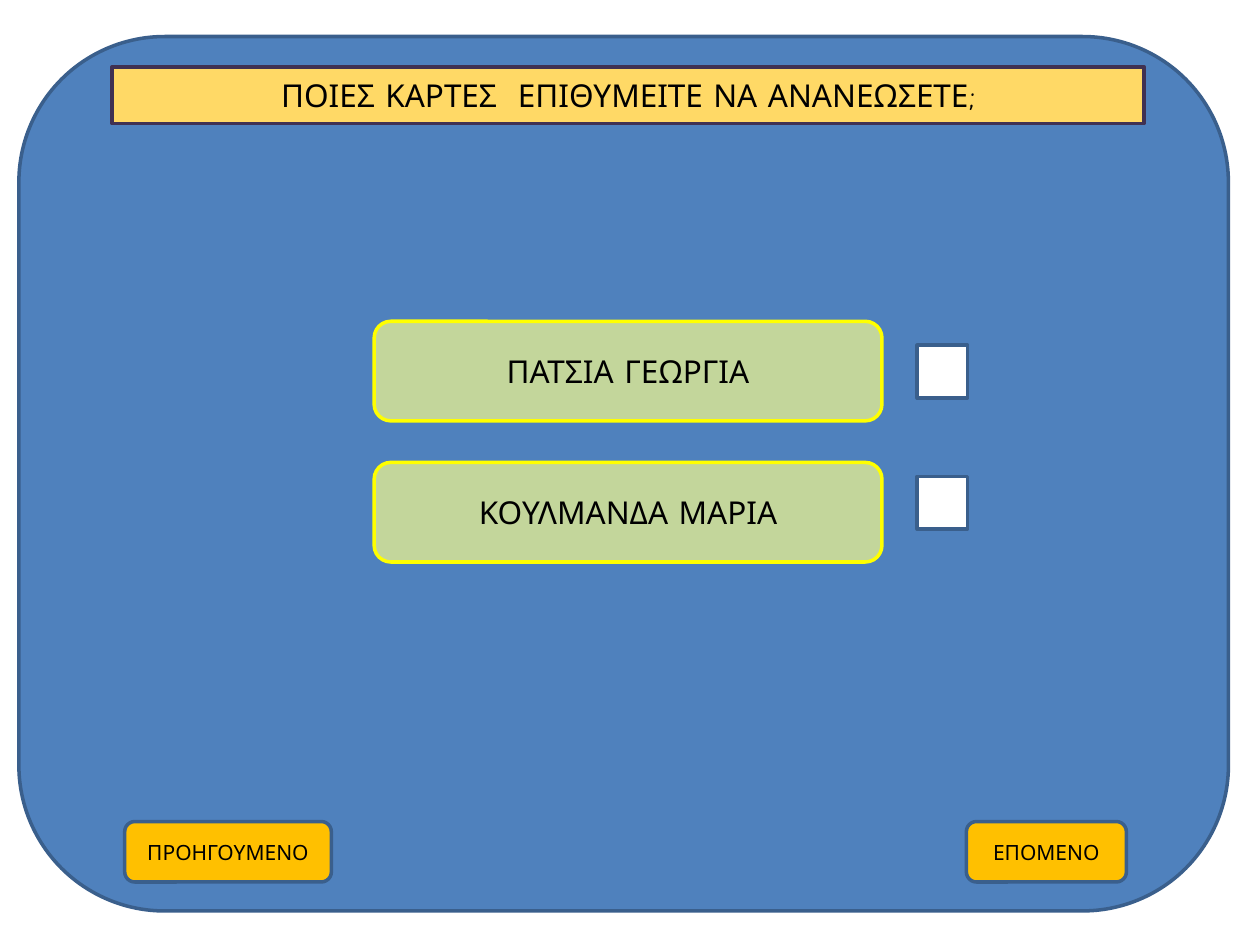
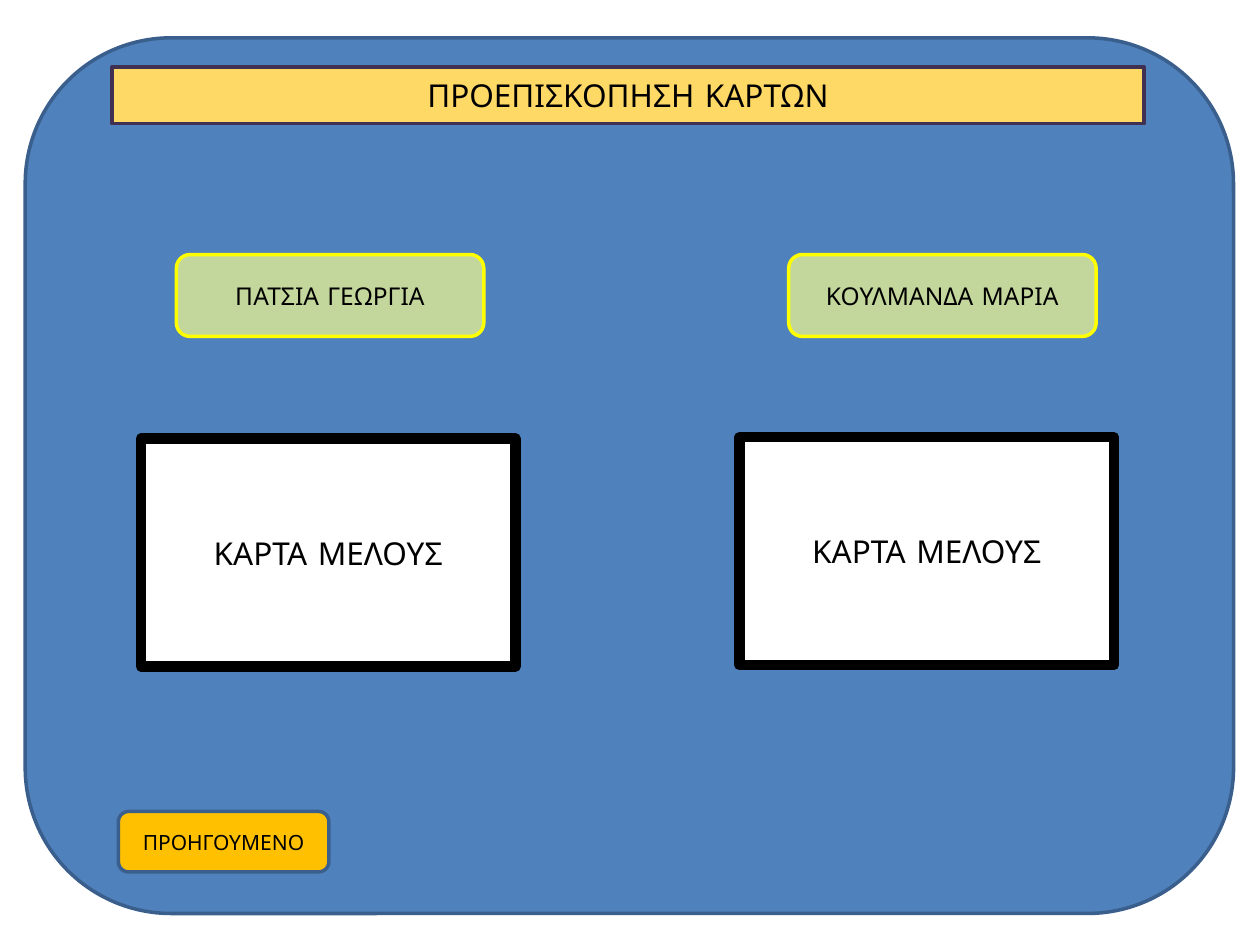
"""Build the two screens for renewing and previewing membership cards."""
from pptx import Presentation
from pptx.dml.color import RGBColor
from pptx.enum.shapes import MSO_SHAPE
from pptx.enum.text import MSO_ANCHOR, MSO_AUTO_SIZE, PP_ALIGN
from pptx.util import Inches, Pt

MEMBERS = ["ΠΑΤΣΙΑ ΓΕΩΡΓΙΑ", "ΚΟΥΛΜΑΝΔΑ ΜΑΡΙΑ"]
CARD = "ΚΑΡΤΑ ΜΕΛΟΥΣ"
PREVIOUS, NEXT = "ΠΡΟΗΓΟΥΜΕΝΟ", "ΕΠΟΜΕΝΟ"
SCREENS = [
    {
        "title": "ΠΟΙΕΣ ΚΑΡΤΕΣ  ΕΠΙΘΥΜΕΙΤΕ ΝΑ ΑΝΑΝΕΩΣΕΤΕ;",
        "panel": (0.15, 0.29, 9.6, 6.94),
        "groups": [
            {"style": "member", "texts": MEMBERS, "size": 18,
             "first": (2.97, 2.55, 4.03, 0.79), "step": (0, 1.12)},
            {"style": "checkbox", "texts": ["", ""], "size": 18,
             "first": (7.28, 2.74, 0.4, 0.42), "step": (0, 1.04)},
        ],
        "buttons": [(NEXT, (7.67, 6.52, 1.27, 0.48)),
                    (PREVIOUS, (0.99, 6.52, 1.64, 0.48))],
    },
    {
        "title": "ΠΡΟΕΠΙΣΚΟΠΗΣΗ ΚΑΡΤΩΝ",
        "panel": (0.2, 0.3, 9.59, 6.95),
        "groups": [
            {"style": "member", "texts": MEMBERS, "size": 14,
             "first": (1.4, 2.02, 2.44, 0.65), "step": (4.86, 0)},
            {"style": "card", "texts": [CARD, CARD], "size": 18,
             "first": (1.12, 3.48, 2.97, 1.81), "step": (4.75, -0.01)},
        ],
        "buttons": [(PREVIOUS, (0.94, 6.44, 1.67, 0.48))],
    },
]

FONT = "Comic Neue"
TITLE_AREA = (0.89, 0.53, 8.19, 0.45)
COLOURS = {
    "blue": "4F81BD", "navy": "3A5F8C", "cream": "FFD966", "purple": "403152",
    "green": "C3D69B", "yellow": "FFFF00", "amber": "FFC000",
    "white": "FFFFFF", "black": "000000",
}
ROUNDED, SQUARE = MSO_SHAPE.ROUNDED_RECTANGLE, MSO_SHAPE.RECTANGLE
STYLES = {
    "panel": (ROUNDED, "blue", "navy", 2),
    "title": (SQUARE, "cream", "purple", 2),
    "member": (ROUNDED, "green", "yellow", 2),
    "checkbox": (SQUARE, "white", "navy", 2),
    "card": (SQUARE, "white", "black", 6),
    "button": (ROUNDED, "amber", "navy", 2),
}


def colour(name):
    return RGBColor.from_string(COLOURS[name])


def paint(shape, style, text, size):
    _, fill, line, weight = STYLES[style]
    shape.fill.solid()
    shape.fill.fore_color.rgb = colour(fill)
    shape.line.color.rgb = colour(line)
    shape.line.width = Pt(weight)
    if not text:
        return
    frame = shape.text_frame
    frame.text = text
    frame.word_wrap = True
    frame.auto_size = MSO_AUTO_SIZE.NONE
    frame.vertical_anchor = MSO_ANCHOR.MIDDLE
    para = frame.paragraphs[0]
    para.alignment = PP_ALIGN.CENTER
    for span in para.runs:
        span.font.name = FONT
        span.font.size = Pt(size)
        span.font.color.rgb = colour("black")


def add_box(page, style, area, text="", size=18):
    box = page.shapes.add_shape(STYLES[style][0], *map(Inches, area))
    box.shadow.inherit = False
    paint(box, style, text, size)
    return box


def add_screen(deck, screen):
    page = deck.slides.add_slide(deck.slide_layouts[5])
    title = page.shapes.title
    title.left, title.top, title.width, title.height = map(Inches, TITLE_AREA)
    paint(title, "title", screen["title"], 18)
    panel = add_box(page, "panel", screen["panel"])
    title.element.addprevious(panel.element)

    for group in screen["groups"]:
        left, top, width, height = group["first"]
        across, down = group["step"]
        for index, text in enumerate(group["texts"]):
            area = (left + index * across, top + index * down, width, height)
            add_box(page, group["style"], area, text, group["size"])
    for text, area in screen["buttons"]:
        add_box(page, "button", area, text, 12)


def main():
    deck = Presentation()
    deck.slide_width, deck.slide_height = Inches(10), Inches(7.5)
    for screen in SCREENS:
        add_screen(deck, screen)
    deck.save("out.pptx")


if __name__ == "__main__":
    main()
